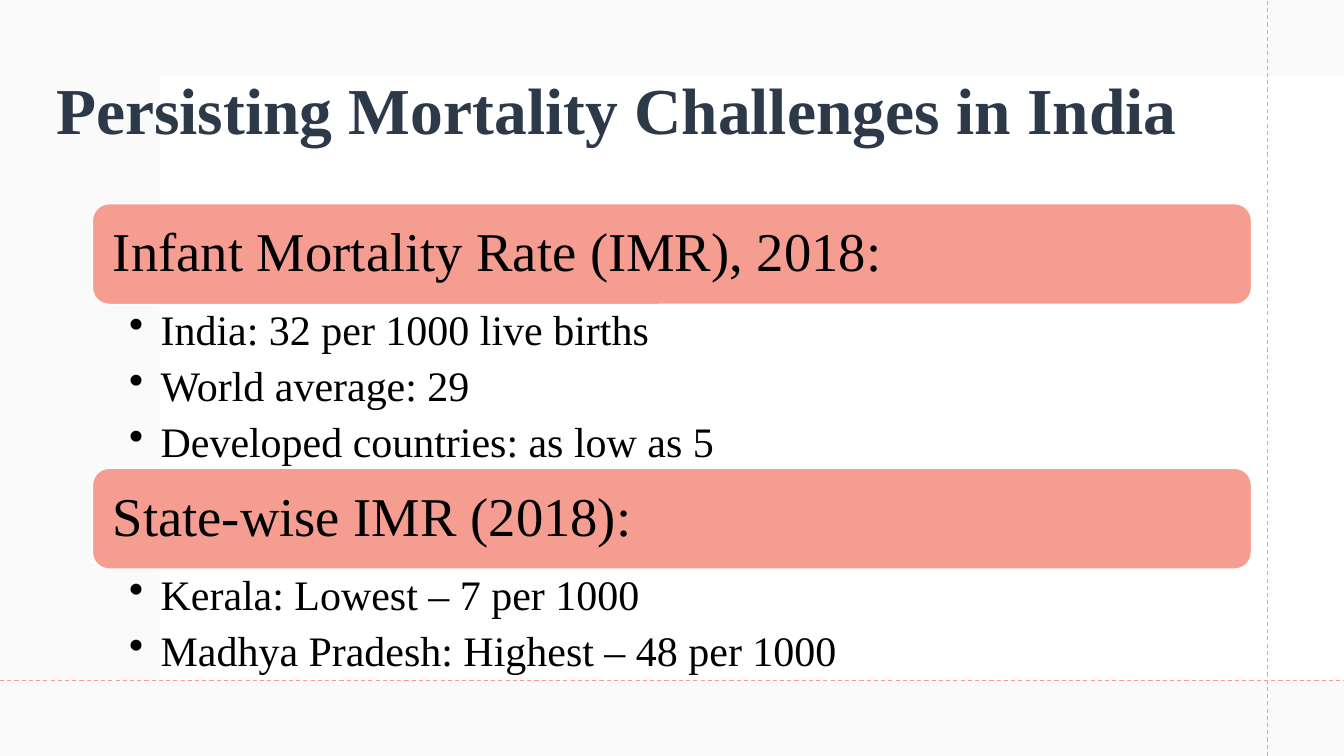
from pptx import Presentation, util as u
from pptx.dml.color import RGBColor
from pptx.enum import dml, shapes, text
from pptx.oxml.ns import qn
from lxml import etree

PX = 9525
WIDE, HIGH = 1280, 720
FONT = "Times New Roman"
HEX = {"veil": "F4F4F4", "page": "FFFFFF", "coral": "F49D90",
       "title": "2C3948", "ink": "000000"}
HEAD = 96
TOPICS = [
    ("Infant Mortality Rate (IMR), 2018:", 156,
     ["India: 32 per 1000 live births", "World average: 29",
      "Developed countries: as low as 5"]),
    ("State-wise IMR (2018):", 104,
     ["Kerala: Lowest – 7 per 1000",
      "Madhya Pradesh: Highest – 48 per 1000"]),
]


def px(*nums):
    return [u.Emu(n * PX) for n in nums]


def color(name):
    return RGBColor.from_string(HEX[name])


def style(para, size, tint, bold=False):
    para.alignment = text.PP_ALIGN.LEFT
    para.line_spacing = 0.9
    for run in para.runs:
        font = run.font
        font.name, font.size, font.bold = FONT, u.Pt(size), bold
        font.color.rgb = color(tint)


def inset(frame, left, top, right, base):
    frame.word_wrap = True
    (frame.margin_left, frame.margin_top,
     frame.margin_right, frame.margin_bottom) = px(left, top, right, base)


def block(slide, kind, box, tint):
    shape = slide.shapes.add_shape(kind, *px(*box))
    shape.shadow.inherit = False
    shape.fill.solid()
    shape.fill.fore_color.rgb = color(tint)
    shape.line.fill.background()
    return shape


def guide(slide, *ends):
    line = slide.shapes.add_connector(shapes.MSO_CONNECTOR.STRAIGHT, *px(*ends))
    line.line.color.rgb = color("coral")
    line.line.width = u.Pt(0.75)
    line.line.dash_style = dml.MSO_LINE.DASH
    etree.SubElement(line.element.spPr, qn("a:effectLst"))


def backdrop(slide, box):
    x, y, w, h = box
    rect = shapes.MSO_SHAPE.RECTANGLE
    veil = block(slide, rect, box, "veil")
    shade = veil.element.spPr.find(".//" + qn("a:srgbClr"))
    etree.SubElement(shade, qn("a:alpha"), val="45000")
    block(slide, rect, (x + 152, y + 72, w - 152, h - 144), "page")
    guide(slide, x + 1207, y + h, x + 1207, y)
    guide(slide, x, y + 648, x + w, y + 648)


def heading(slide, box, words):
    title = slide.shapes.title
    title.left, title.top, title.width, title.height = px(*box)
    frame = title.text_frame
    frame.text = words
    frame.word_wrap = True
    frame.auto_size = text.MSO_AUTO_SIZE.NONE
    frame.vertical_anchor = text.MSO_ANCHOR.MIDDLE
    style(frame.paragraphs[0], 46.8, "title", True)
    # Bring the title in front of the backdrop
    title.element.getparent().append(title.element)


def bullet(para):
    props = para._p.get_or_add_pPr()
    props.set("marL", str(30 * PX))
    props.set("indent", str(-30 * PX))
    etree.SubElement(props, qn("a:buChar"), char="•")


def topic(slide, box, head, items):
    x, y, w, h = box
    # Heading bar
    bar = block(slide, shapes.MSO_SHAPE.ROUNDED_RECTANGLE, (x, y, w, HEAD), "coral")
    bar.line.color.rgb = color("page")
    bar.line.width = u.Pt(1)
    frame = bar.text_frame
    frame.text = head
    frame.vertical_anchor = text.MSO_ANCHOR.MIDDLE
    inset(frame, 15, 15, 15, 15)
    style(frame.paragraphs[0], 39, "ink")
    # Bulleted facts
    facts = slide.shapes.add_textbox(*px(x, y + HEAD, w, h - HEAD)).text_frame
    inset(facts, 35, 5, 29, 5)
    facts.text = "\n".join(items)
    for para in facts.paragraphs:
        bullet(para)
        style(para, 30, "ink")
        para.space_after = u.Pt(7.4)


def main():
    deck = Presentation()
    deck.slide_width, deck.slide_height = px(WIDE, HIGH)
    slide = deck.slides.add_slide(deck.slide_layouts[5])
    backdrop(slide, (0, 0, WIDE, HIGH))
    heading(slide, (44, 38, 1104, 139), "Persisting Mortality Challenges in India")
    top = 194
    for head, depth, items in TOPICS:
        topic(slide, (88, top, 1104, HEAD + depth), head, items)
        top += HEAD + depth
    deck.save("out.pptx")


if __name__ == "__main__":
    main()
